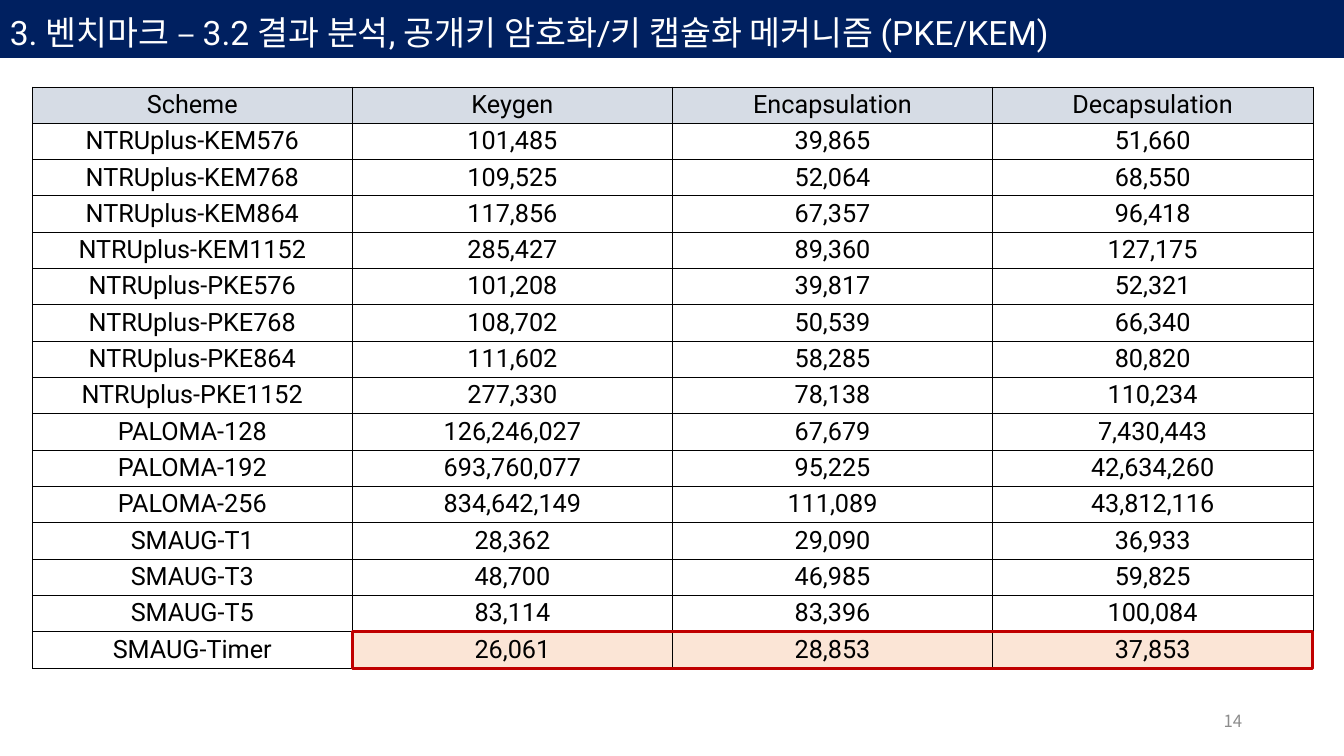
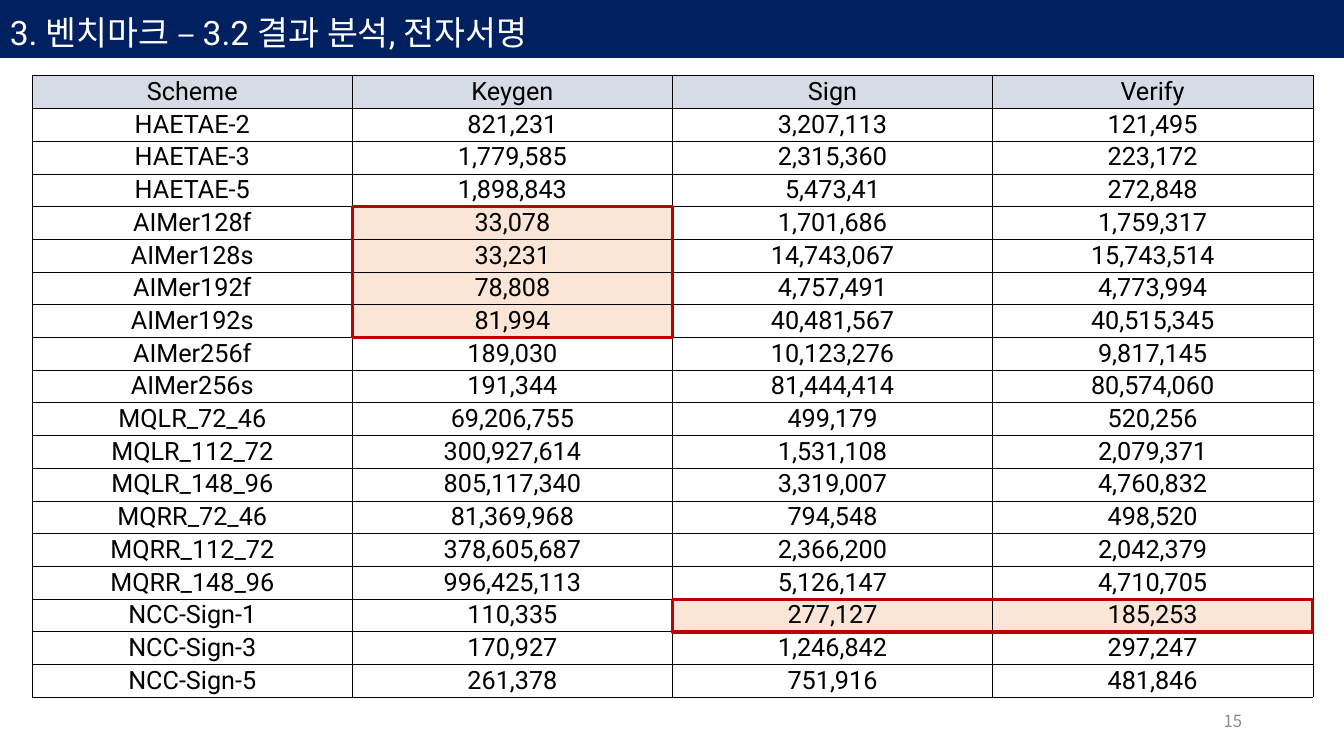
from lxml import etree
from pptx import Presentation
from pptx.dml.color import RGBColor
from pptx.enum import shapes, text
from pptx.oxml import ns
from pptx.util import Inches, Pt

NAVY = RGBColor(0x00, 0x20, 0x60)
WHITE = RGBColor(0xFF, 0xFF, 0xFF)
BLACK = RGBColor(0x00, 0x00, 0x00)
GRAY = RGBColor(0x8C, 0x8C, 0x8C)
RED = RGBColor(0xC0, 0x00, 0x00)
HEADER = RGBColor(0xD6, 0xDC, 0xE5)
PEACH = RGBColor(0xFB, 0xE5, 0xD6)
FONT = "Roboto"
FONT_KR = "Noto Sans CJK KR"

TABLE_LEFT, TABLE_W = 0.32, 12.7

KEM_ROWS = """
Scheme Keygen Encapsulation Decapsulation
NTRUplus-KEM576 101,485 39,865 51,660
NTRUplus-KEM768 109,525 52,064 68,550
NTRUplus-KEM864 117,856 67,357 96,418
NTRUplus-KEM1152 285,427 89,360 127,175
NTRUplus-PKE576 101,208 39,817 52,321
NTRUplus-PKE768 108,702 50,539 66,340
NTRUplus-PKE864 111,602 58,285 80,820
NTRUplus-PKE1152 277,330 78,138 110,234
PALOMA-128 126,246,027 67,679 7,430,443
PALOMA-192 693,760,077 95,225 42,634,260
PALOMA-256 834,642,149 111,089 43,812,116
SMAUG-T1 28,362 29,090 36,933
SMAUG-T3 48,700 46,985 59,825
SMAUG-T5 83,114 83,396 100,084
SMAUG-Timer 26,061 28,853 37,853
"""

SIGN_ROWS = """
Scheme Keygen Sign Verify
HAETAE-2 821,231 3,207,113 121,495
HAETAE-3 1,779,585 2,315,360 223,172
HAETAE-5 1,898,843 5,473,41 272,848
AIMer128f 33,078 1,701,686 1,759,317
AIMer128s 33,231 14,743,067 15,743,514
AIMer192f 78,808 4,757,491 4,773,994
AIMer192s 81,994 40,481,567 40,515,345
AIMer256f 189,030 10,123,276 9,817,145
AIMer256s 191,344 81,444,414 80,574,060
MQLR_72_46 69,206,755 499,179 520,256
MQLR_112_72 300,927,614 1,531,108 2,079,371
MQLR_148_96 805,117,340 3,319,007 4,760,832
MQRR_72_46 81,369,968 794,548 498,520
MQRR_112_72 378,605,687 2,366,200 2,042,379
MQRR_148_96 996,425,113 5,126,147 4,710,705
NCC-Sign-1 110,335 277,127 185,253
NCC-Sign-3 170,927 1,246,842 297,247
NCC-Sign-5 261,378 751,916 481,846
"""

# Title, page number, rows, table top, table height, cell side margin,
# highlighted blocks as (first row, last row, first column, last column)
SLIDES = [
    ("3. 벤치마크 – 3.2 결과 분석, 공개키 암호화/키 캡슐화 메커니즘 (PKE/KEM)", "14",
     KEM_ROWS, 0.86, 5.77, 0.05, [(15, 15, 1, 3)]),
    ("3. 벤치마크 – 3.2 결과 분석, 전자서명", "15",
     SIGN_ROWS, 0.75, 6.17, 0.04, [(4, 7, 1, 1), (16, 16, 2, 3)]),
]


def add_text(tf, words, size, color, align, font=FONT):
    tf.word_wrap = True
    tf.vertical_anchor = text.MSO_ANCHOR.MIDDLE
    p = tf.paragraphs[0]
    p.alignment = align
    r = p.add_run()
    r.text = words
    r.font.size = Pt(size)
    r.font.name = font
    r.font.color.rgb = color
    ea = etree.SubElement(r.font._element, ns.qn("a:ea"))
    ea.set("typeface", FONT_KR)


def add_borders(cell):
    tcPr = cell._tc.get_or_add_tcPr()
    for i, side in enumerate(("lnL", "lnR", "lnT", "lnB")):
        ln = etree.Element(ns.qn("a:" + side), w=str(Pt(0.23)))
        fill = etree.SubElement(ln, ns.qn("a:solidFill"))
        etree.SubElement(fill, ns.qn("a:srgbClr"), val=str(BLACK))
        tcPr.insert(i, ln)


prs = Presentation()
prs.slide_width = Inches(13.33)
prs.slide_height = Inches(7.5)

for title, number, lines, top, height, margin, blocks in SLIDES:
    s = prs.slides.add_slide(prs.slide_layouts[6])

    # Title band
    sp = s.shapes.add_shape(shapes.MSO_SHAPE.RECTANGLE, 0, 0, prs.slide_width, Inches(0.57))
    sp.shadow.inherit = False
    sp.fill.solid()
    sp.fill.fore_color.rgb = NAVY
    sp.line.color.rgb = NAVY
    sp.line.width = Pt(1)
    sp = s.shapes.add_textbox(0, Inches(0.07), prs.slide_width, Inches(0.5))
    add_text(sp.text_frame, title, 24, WHITE, text.PP_ALIGN.LEFT)

    # Benchmark table
    rows = [line.split() for line in lines.strip().splitlines()]
    row_h, col_w = height / len(rows), TABLE_W / len(rows[0])
    table = s.shapes.add_table(len(rows), len(rows[0]), Inches(TABLE_LEFT), Inches(top),
                               Inches(TABLE_W), Inches(height)).table
    table.first_row = table.horz_banding = False
    for i, row in enumerate(rows):
        table.rows[i].height = Inches(row_h)
        for j, value in enumerate(row):
            cell = table.cell(i, j)
            cell.margin_left = cell.margin_right = Inches(margin)
            cell.margin_top = cell.margin_bottom = 0
            cell.vertical_anchor = text.MSO_ANCHOR.MIDDLE
            marked = any(r1 <= i <= r2 and c1 <= j <= c2 for r1, r2, c1, c2 in blocks)
            if i == 0 or marked:
                cell.fill.solid()
                cell.fill.fore_color.rgb = PEACH if marked else HEADER
            else:
                cell.fill.background()
            add_borders(cell)
            add_text(cell.text_frame, value, 18, BLACK, text.PP_ALIGN.CENTER)

    # Page number
    sp = s.shapes.add_textbox(Inches(9.42), Inches(6.95), Inches(3), Inches(0.4))
    add_text(sp.text_frame, number, 12, GRAY, text.PP_ALIGN.RIGHT, FONT_KR)

    # Red frames around the highlighted cells
    for r1, r2, c1, c2 in blocks:
        sp = s.shapes.add_shape(
            shapes.MSO_SHAPE.RECTANGLE,
            Inches(TABLE_LEFT + c1 * col_w), Inches(top + r1 * row_h),
            Inches((c2 - c1 + 1) * col_w), Inches((r2 - r1 + 1) * row_h))
        sp.shadow.inherit = False
        sp.fill.background()
        sp.line.color.rgb = RED
        sp.line.width = Pt(2.25)

prs.save("out.pptx")
